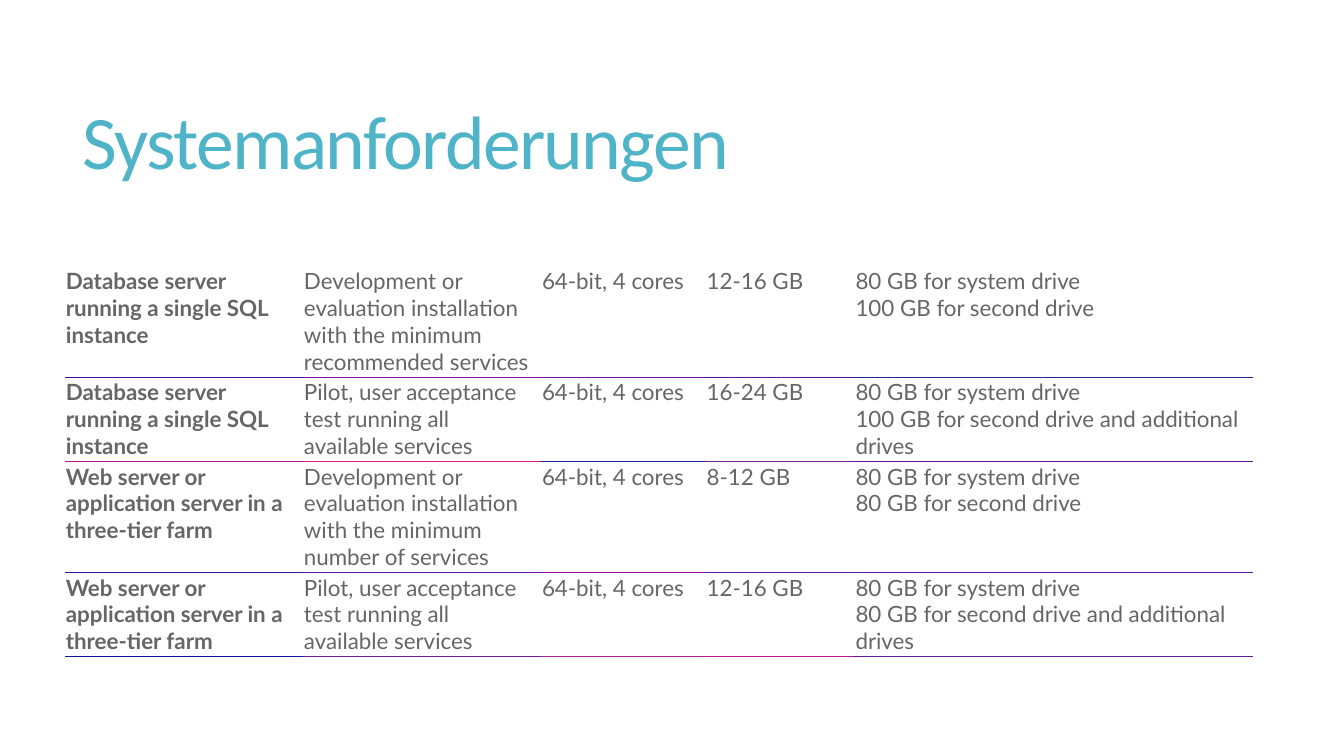
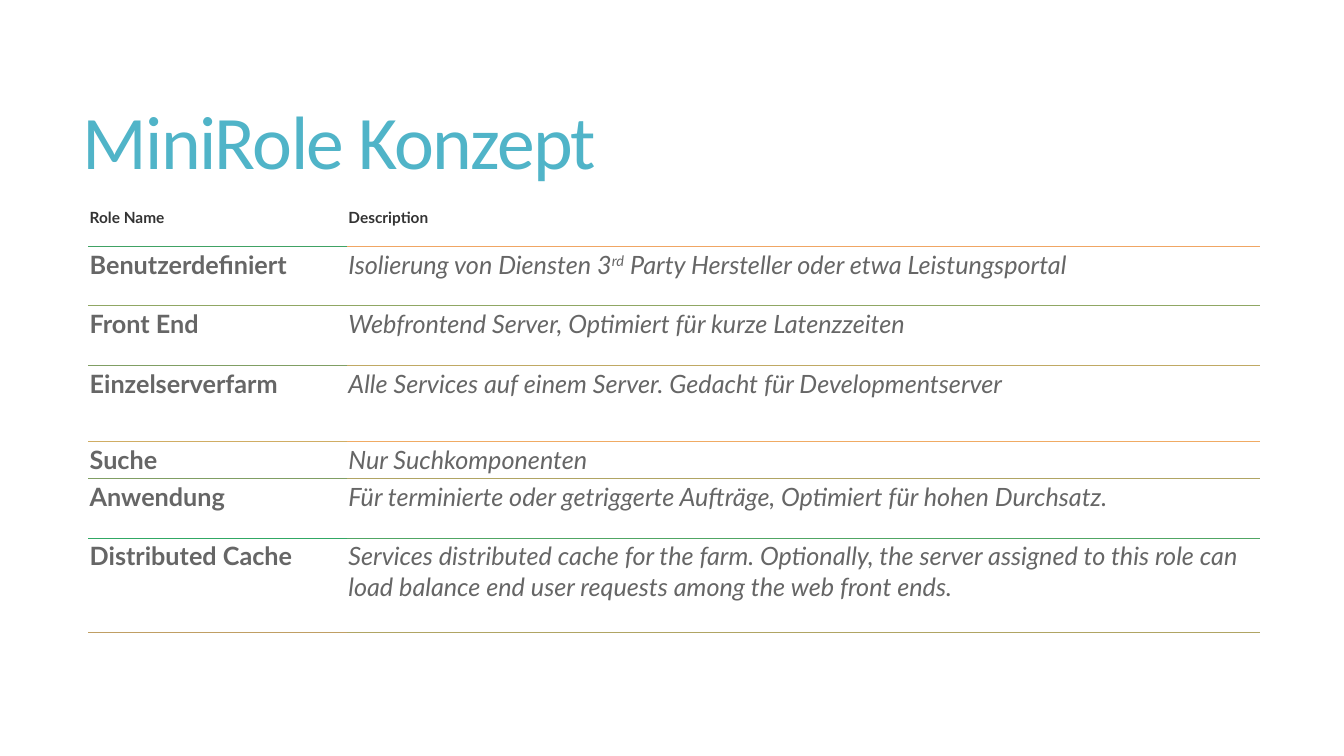
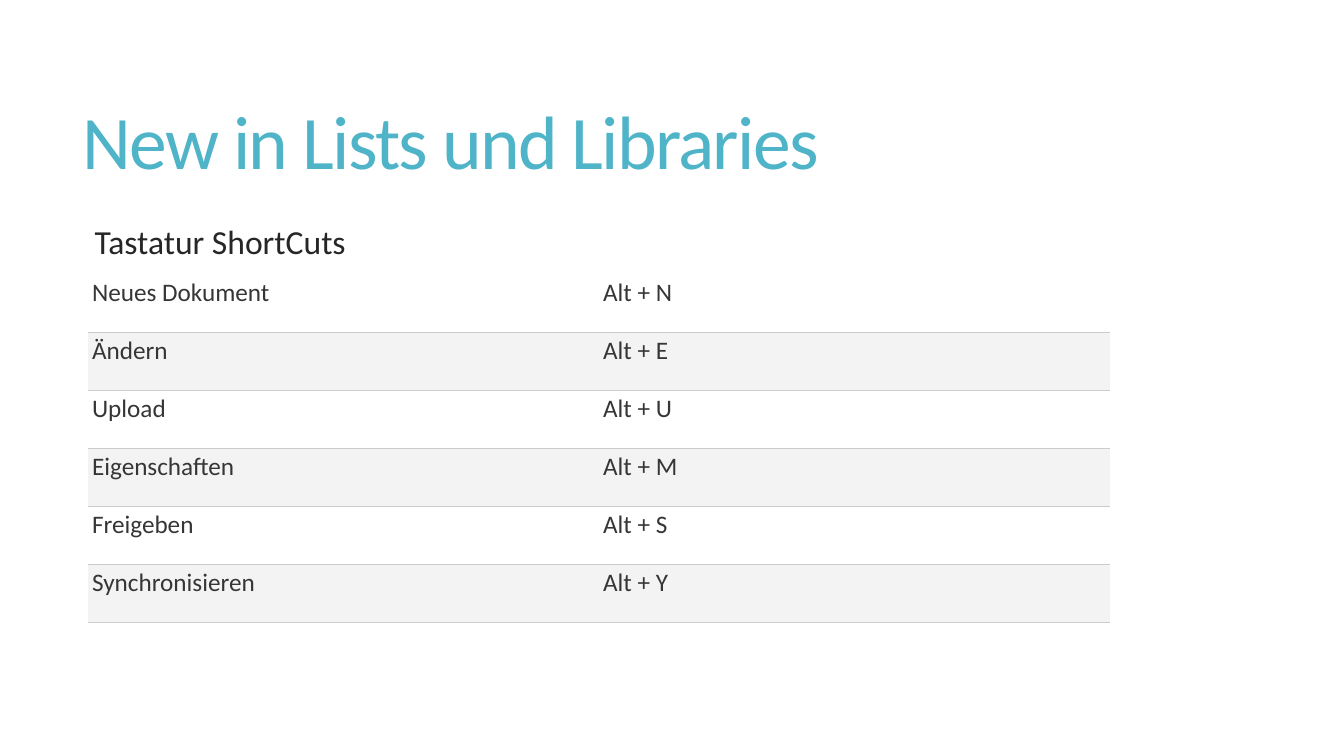
from dataclasses import dataclass

from pptx import Presentation
from pptx.dml.color import RGBColor
from pptx.enum.text import MSO_ANCHOR, MSO_AUTO_SIZE, PP_ALIGN
from pptx.oxml.ns import qn
from pptx.oxml.xmlchemy import OxmlElement
from pptx.util import Cm, Pt


@dataclass(frozen=True)
class Theme:
    heading_font: str = "Calibri"
    table_font: str = "Lato"
    accent: str = "50B4C8"
    ink: str = "262626"
    header_ink: str = "333333"
    key_ink: str = "363636"
    grey_ink: str = "666666"
    paper: str = "FFFFFF"
    band: str = "F3F3F3"
    rule: str = "CCCCCC"
    title_size: float = 54
    lead_size: float = 24
    large_size: float = 18
    cell_size: float = 16
    header_size: float = 11
    rule_width: float = 0.6
    line_spacing: float = 0.85


THEME = Theme()
TITLE_ONLY, TITLE_AND_BODY = 5, 1

REQUIREMENTS = [
    ["Database server running a single SQL instance",
     "Development or evaluation installation with the minimum recommended services",
     "64-bit, 4 cores", "12-16 GB",
     "80 GB for system drive\n100 GB for second drive"],
    ["Database server running a single SQL instance",
     "Pilot, user acceptance test running all available services",
     "64-bit, 4 cores", "16-24 GB",
     "80 GB for system drive\n100 GB for second drive and additional drives"],
    ["Web server or application server in a three-tier farm",
     "Development or evaluation installation with the minimum number of services",
     "64-bit, 4 cores", "8-12 GB",
     "80 GB for system drive\n80 GB for second drive"],
    ["Web server or application server in a three-tier farm",
     "Pilot, user acceptance test running all available services",
     "64-bit, 4 cores", "12-16 GB",
     "80 GB for system drive\n80 GB for second drive and additional drives"],
]
REQUIREMENT_RULES = [
    ["400C9B", "800D9B", "700E9B", "600F9B", "20229B"],
    ["B0149B", "E01B9B", "201D9B", "801C9B", "60149B"],
    ["30179B", "70139B", "90119B", "60199B", "60149B"],
    ["10149B", "701D9B", "B0239B", "C0139B", "60199B"],
]

# Text between two ^ marks is superscript.
ROLES = [
    ["Role Name", "Description"],
    ["Benutzerdefiniert",
     "Isolierung von Diensten 3^rd^ Party Hersteller oder etwa Leistungsportal"],
    ["Front End", "Webfrontend Server, Optimiert für kurze Latenzzeiten"],
    ["Einzelserverfarm",
     "Alle Services auf einem Server. Gedacht für Developmentserver"],
    ["Suche", "Nur Suchkomponenten"],
    ["Anwendung",
     "Für terminierte oder getriggerte Aufträge, Optimiert für hohen Durchsatz."],
    ["Distributed Cache",
     "Services distributed cache for the farm. Optionally, the server assigned to "
     "this role can load balance end user requests among the web front ends."],
]
ROLE_RULES = [
    ["40A264", "F0A664"], ["90A764", "90A764"], ["809E64", "C0A964"],
    ["D0AD64", "F0AB64"], ["809E64", "B0A564"], ["30A864", "50A664"],
    ["C09F64", "B0A564"],
]

SHORTCUTS = [
    ["Neues Dokument", "Alt + N"], ["Ändern", "Alt + E"], ["Upload", "Alt + U"],
    ["Eigenschaften", "Alt + M"], ["Freigeben", "Alt + S"],
    ["Synchronisieren", "Alt + Y"],
]


def place(shape, left, top, width, height):
    shape.left, shape.top = Cm(left), Cm(top)
    shape.width, shape.height = Cm(width), Cm(height)


def style_font(paragraph, name, size, color, bold=False, italic=False):
    font = paragraph.font
    font.name, font.size = name, Pt(size)
    font.bold, font.italic = bold, italic
    font.color.rgb = RGBColor.from_string(color)


def fill_placeholder(placeholder, text, size, color):
    """Write one left-aligned paragraph and return it."""
    frame = placeholder.text_frame
    frame.text = text
    frame.auto_size = MSO_AUTO_SIZE.NONE
    paragraph = frame.paragraphs[0]
    paragraph.alignment = PP_ALIGN.LEFT
    paragraph.line_spacing = THEME.line_spacing
    style_font(paragraph, THEME.heading_font, size, color)
    return paragraph


def add_titled_slide(deck, layout_index, title):
    slide = deck.slides.add_slide(deck.slide_layouts[layout_index])
    heading = slide.shapes.title
    place(heading, 1.83, 1.4, 29.92, 4.6)
    paragraph = fill_placeholder(heading, title, THEME.title_size, THEME.accent)
    heading.text_frame.vertical_anchor = MSO_ANCHOR.MIDDLE
    paragraph.font._element.set("spc", "-120")
    return slide


def add_lead(slide, text):
    body = slide.placeholders[1]
    place(body, 1.88, 5.59, 29.87, 10.46)
    paragraph = fill_placeholder(body, text, THEME.lead_size, THEME.ink)
    paragraph.space_before = Pt(13)
    properties = paragraph._p.get_or_add_pPr()
    properties.set("marL", str(Cm(0.25)))
    properties.set("indent", "0")
    properties.insert_element_before(OxmlElement("a:buNone"), "a:tabLst", "a:defRPr")


def set_borders(cell, top, bottom):
    """Draw the horizontal rules of a cell; None leaves a side open."""
    properties = cell._tc.get_or_add_tcPr()
    sides = {"a:lnL": None, "a:lnR": None, "a:lnT": top, "a:lnB": bottom}
    for tag, color in sides.items():
        line = OxmlElement(tag)
        line.set("w", str(Pt(THEME.rule_width)))
        if color:
            fill = OxmlElement("a:solidFill")
            value = OxmlElement("a:srgbClr")
            value.set("val", color)
            fill.append(value)
        else:
            fill = OxmlElement("a:noFill")
        line.append(fill)
        properties.append(line)


def write_cell(cell, text, font):
    frame = cell.text_frame
    for index, content in enumerate(text.split("\n")):
        paragraph = frame.add_paragraph() if index else frame.paragraphs[0]
        style_font(paragraph, **font)
        for position, part in enumerate(content.split("^")):
            run = paragraph.add_run()
            run.text = part
            if position % 2:
                run.font._element.set("baseline", "30000")


def add_grid(slide, corner, widths, heights, rows, rules, margins, font_of, fill_of):
    """Add a table; font_of(row, column) and fill_of(row) style its cells."""
    left, top = corner
    table = slide.shapes.add_table(
        len(rows), len(widths), Cm(left), Cm(top),
        Cm(sum(widths)), Cm(sum(heights))).table
    table.first_row = table.horz_banding = False
    for column, width in zip(table.columns, widths):
        column.width = Cm(width)
    for row, height in zip(table.rows, heights):
        row.height = Cm(height)
    for r, texts in enumerate(rows):
        for c, text in enumerate(texts):
            cell = table.cell(r, c)
            (cell.margin_left, cell.margin_top,
             cell.margin_right, cell.margin_bottom) = map(Cm, margins)
            set_borders(cell, rules[r - 1][c] if r else None, rules[r][c])
            cell.fill.solid()
            cell.fill.fore_color.rgb = RGBColor.from_string(fill_of(r))
            write_cell(cell, text, font_of(r, c))


def plain_fill(row):
    return THEME.paper


def banded_fill(row):
    return THEME.band if row % 2 else THEME.paper


def requirement_font(row, column):
    return dict(name=THEME.table_font, size=THEME.cell_size,
                color=THEME.grey_ink, bold=column == 0)


def role_font(row, column):
    if row == 0:
        return dict(name=THEME.table_font, size=THEME.header_size,
                    color=THEME.header_ink, bold=True)
    return dict(name=THEME.table_font, size=THEME.large_size,
                color=THEME.grey_ink, bold=column == 0, italic=column == 1)


def shortcut_font(row, column):
    return dict(name=THEME.heading_font, size=THEME.large_size, color=THEME.key_ink)


def main():
    deck = Presentation()
    deck.slide_width, deck.slide_height = Cm(33.87), Cm(19.05)

    requirements = add_titled_slide(deck, TITLE_ONLY, "Systemanforderungen")
    add_grid(requirements, (1.63, 6.7), [6.0, 6.0, 4.15, 3.75, 10.05],
             [2.79, 2.11] * 2, REQUIREMENTS, REQUIREMENT_RULES,
             (0.03, 0.05, 0.03, 0.05), requirement_font, plain_fill)

    roles = add_titled_slide(deck, TITLE_ONLY, "MiniRole Konzept")
    add_grid(roles, (2.23, 5.16), [6.52, 23.0],
             [1.04, 1.5, 1.5, 1.93, 0.92, 1.5, 2.39], ROLES, ROLE_RULES,
             (0.03, 0.08, 0.03, 0.08), role_font, plain_fill)

    shortcuts = add_titled_slide(deck, TITLE_AND_BODY, "New in Lists und Libraries")
    add_lead(shortcuts, "Tastatur ShortCuts")
    add_grid(shortcuts, (2.22, 6.91), [12.88] * 2, [1.46] * len(SHORTCUTS),
             SHORTCUTS, [[THEME.rule] * 2] * len(SHORTCUTS),
             (0.1, 0.08, 0.2, 0.08), shortcut_font, banded_fill)

    deck.save("out.pptx")


if __name__ == "__main__":
    main()
